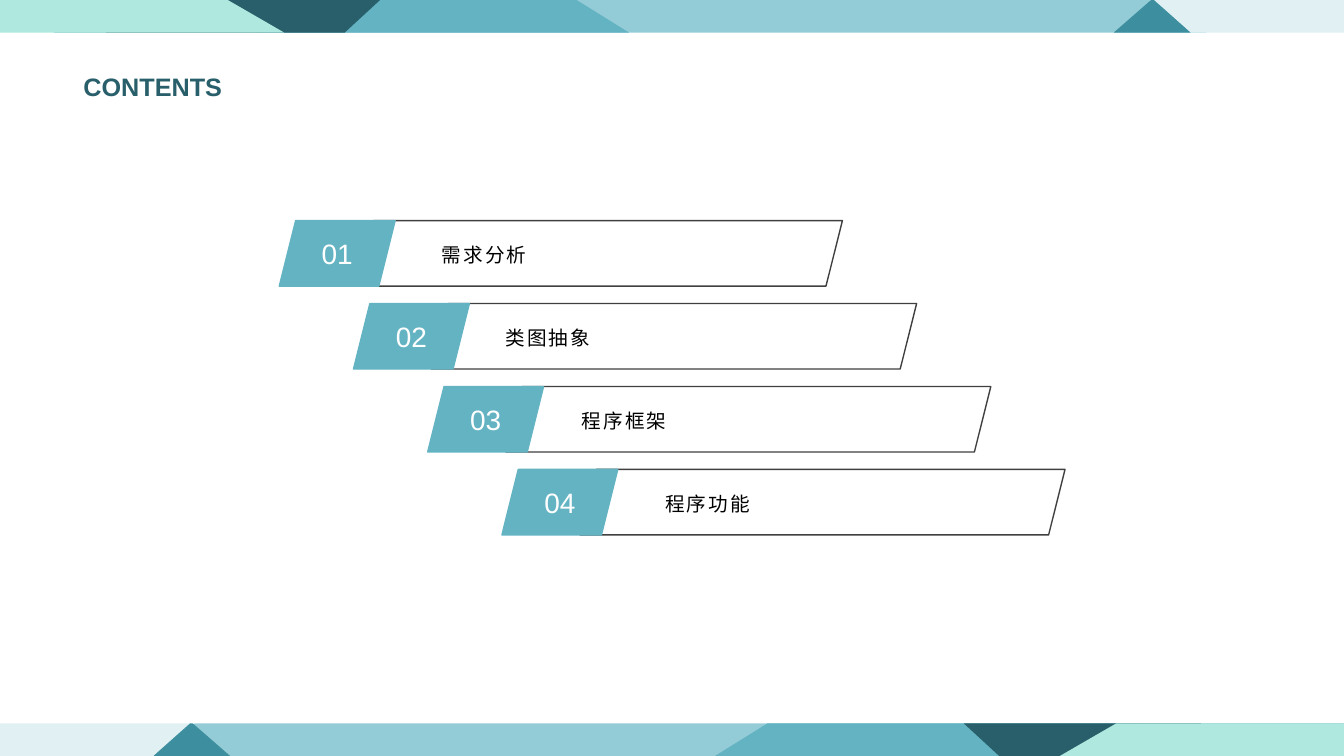
from lxml.etree import SubElement
from pptx import Presentation
from pptx.dml.color import RGBColor
from pptx.enum.shapes import MSO_SHAPE as Preset
from pptx.enum.text import MSO_ANCHOR as Anchor, MSO_AUTO_SIZE as AutoSize, PP_ALIGN as Align
from pptx.oxml.ns import qn
from pptx.util import Cm, Pt

COLORS = {
    "sky": "93CBD6", "blue": "63B3C3", "pale": "E0F0F3", "teal": "3D8F9F",
    "dark": "285F6A", "mint": "AFE8DF", "outline": "404040",
    "white": "FFFFFF", "black": "000000",
}
LATIN, CHINESE = "Arial", "Noto Sans CJK SC"
PAGE_WIDTH, PAGE_HEIGHT, BAND_HEIGHT = 33.87, 19.05, 0.82

# Each facet: colour, top edge from/to, bottom edge from/to.
FACETS = [
    ("sky", 5.08, 28.96, 6.5, 30.4),
    ("blue", 0, 14.53, 1.37, 15.85),
    ("pale", 29.08, 33.87, 30, 33.87),
    ("teal", 29.01, 29.08, 28.07, 30),
    ("dark", 3.61, 9.58, 2.67, 8.69),
    ("mint", 0, 5.74, 0, 7.16),
]
CHAPTERS = [("需求分析", 3.84), ("类图抽象", 3.58), ("程序框架", 3.63), ("程序功能", 3.86)]


def color(name):
    return RGBColor.from_string(COLORS[name])


def paint(shape, fill, line=None):
    shape.shadow.inherit = False
    if fill:
        shape.fill.solid()
        shape.fill.fore_color.rgb = color(fill)
    else:
        shape.fill.background()
    if line:
        shape.line.color.rgb = color(line)
        shape.line.width = Pt(1)
    else:
        shape.line.fill.background()


def write(shape, text, size, ink, font=LATIN, align=Align.LEFT, bold=False):
    frame = shape.text_frame
    frame.word_wrap = True
    frame.auto_size = AutoSize.NONE
    frame.vertical_anchor = Anchor.MIDDLE
    para = frame.paragraphs[0]
    para.alignment = align
    span = para.add_run()
    span.text = text
    span.font.size = Pt(size)
    span.font.name = font
    span.font.bold = bold
    span.font.color.rgb = color(ink)
    return para, span


def add_band(page, top, mirrored=False):
    for fill, top_from, top_to, bottom_from, bottom_to in FACETS:
        corners = [(top_from, top), (top_to, top),
                   (bottom_to, top + BAND_HEIGHT), (bottom_from, top + BAND_HEIGHT)]
        if mirrored:
            corners = [(PAGE_WIDTH - x, y) for x, y in corners]
        points = [(Cm(x), Cm(y)) for x, y in corners]
        builder = page.shapes.build_freeform(*points[0])
        builder.add_line_segments(points[1:], close=True)
        paint(builder.convert_to_shape(), fill)


def add_title(page, left, top, width, height):
    title = page.shapes.title
    title.left, title.top, title.width, title.height = map(Cm, (left, top, width, height))
    write(title, "CONTENTS", 18, "dark", bold=True)


def add_chapter(page, left, top, number, name, indent):
    height = 1.65
    frame = page.shapes.add_shape(
        Preset.PARALLELOGRAM, Cm(left + 1.97), Cm(top), Cm(12.22), Cm(height))
    paint(frame, None, "outline")
    tab = page.shapes.add_shape(
        Preset.PARALLELOGRAM, Cm(left), Cm(top), Cm(2.92), Cm(height))
    paint(tab, "blue", "blue")
    write(tab, f"{number:02}", 20, "white", align=Align.CENTER)
    label = page.shapes.add_textbox(Cm(left + indent), Cm(top + 0.36), Cm(9.45), Cm(0.94))
    para, span = write(label, name, 14, "black", CHINESE)
    para.line_spacing = 1.1
    properties = span.font._element if hasattr(span.font, "_element") else span._r.get_or_add_rPr()
    properties.set("spc", "150")
    SubElement(properties, qn("a:ea")).set("typeface", CHINESE)


def add_chapters(page, left, top):
    for index, (name, indent) in enumerate(CHAPTERS):
        add_chapter(page, left + index * 1.87, top + index * 2.09, index + 1, name, indent)


deck = Presentation()
deck.slide_width, deck.slide_height = Cm(PAGE_WIDTH), Cm(PAGE_HEIGHT)
page = deck.slides.add_slide(deck.slide_layouts[5])
add_band(page, 0)
add_band(page, PAGE_HEIGHT - BAND_HEIGHT, mirrored=True)
add_chapters(page, 7.04, 5.56)
add_title(page, 1.85, 1.45, 8.26, 1.45)
deck.save("out.pptx")
